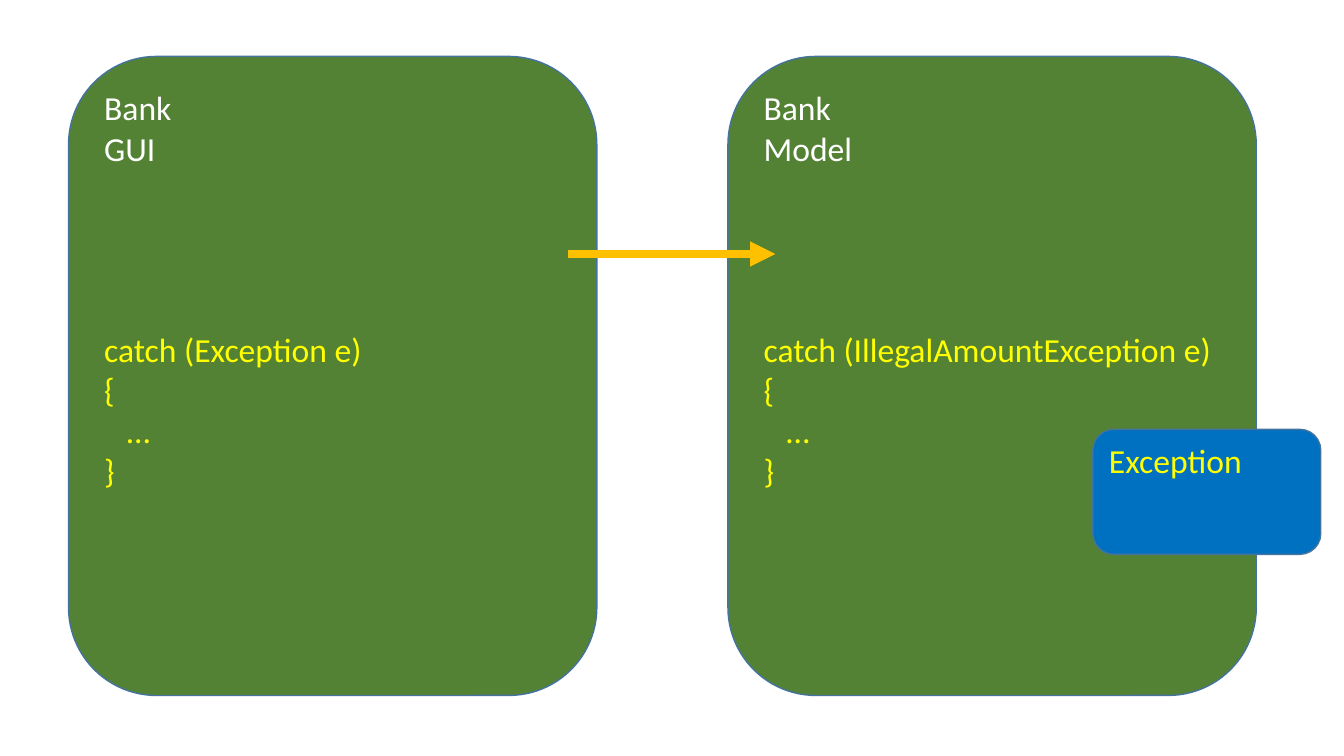
"""Build a slide that shows where a bank program catches its exceptions."""
from lxml.etree import SubElement
from pptx import Presentation
from pptx.dml.color import RGBColor
from pptx.enum.shapes import MSO_CONNECTOR, MSO_SHAPE
from pptx.enum.text import MSO_ANCHOR, PP_ALIGN
from pptx.oxml.ns import qn
from pptx.util import Pt

EMU_PER_PX = 9144
FONT = "Calibri"
FONT_SIZE = Pt(24)
CODE_GAP = Pt(115)

WHITE = RGBColor(0xFF, 0xFF, 0xFF)
YELLOW = RGBColor(0xFF, 0xFF, 0x00)
GREEN = RGBColor(0x54, 0x82, 0x35)
BLUE = RGBColor(0x00, 0x70, 0xC0)
OUTLINE = RGBColor(0x43, 0x73, 0x9E)
AMBER = RGBColor(0xFF, 0xC0, 0x00)

PANEL_TOP, PANEL_WIDTH, PANEL_HEIGHT = 56, 524, 634
PANELS = [
    (68, "GUI", "Exception"),
    (722, "Model", "IllegalAmountException"),
]


def px(length):
    """Turn pixels into EMU."""
    return length * EMU_PER_PX


def add_rounded_box(slide, left, top, width, height, fill):
    """Add a rounded box whose text starts at the top left."""
    shape = slide.shapes.add_shape(
        MSO_SHAPE.ROUNDED_RECTANGLE, px(left), px(top), px(width), px(height)
    )
    shape.shadow.inherit = False
    shape.fill.solid()
    shape.fill.fore_color.rgb = fill
    shape.line.color.rgb = OUTLINE
    shape.line.width = Pt(1)
    shape.text_frame.word_wrap = True
    shape.text_frame.vertical_anchor = MSO_ANCHOR.TOP
    return shape


def add_lines(text_frame, lines, color):
    """Add one left-aligned paragraph per line and return the first one."""
    paragraphs = []
    for line in lines:
        first = text_frame.paragraphs[0]
        paragraph = text_frame.add_paragraph() if first.runs else first
        paragraph.alignment = PP_ALIGN.LEFT
        run = paragraph.add_run()
        run.text = line
        run.font.name = FONT
        run.font.size = FONT_SIZE
        run.font.color.rgb = color
        paragraphs.append(paragraph)
    return paragraphs[0]


def add_panel(slide, left, part, exception):
    """Add a panel for one part of the bank with its catch block."""
    shape = add_rounded_box(slide, left, PANEL_TOP, PANEL_WIDTH, PANEL_HEIGHT, GREEN)
    add_lines(shape.text_frame, ["Bank", part], WHITE)
    catch_block = [f"catch ({exception} e)", "{", "   …", "}"]
    add_lines(shape.text_frame, catch_block, YELLOW).space_before = CODE_GAP


def add_arrow(slide, start_x, end_x, y):
    """Add a thick horizontal arrow."""
    connector = slide.shapes.add_connector(
        MSO_CONNECTOR.STRAIGHT, px(start_x), px(y), px(end_x), px(y)
    )
    connector.line.color.rgb = AMBER
    connector.line.width = Pt(6)
    SubElement(connector.line._get_or_add_ln(), qn("a:tailEnd"), type="triangle")
    SubElement(connector._element.spPr, qn("a:effectLst"))


def main():
    """Build and save the slide."""
    presentation = Presentation()
    presentation.slide_width = px(1333)
    presentation.slide_height = px(750)
    slide = presentation.slides.add_slide(presentation.slide_layouts[6])
    for left, part, exception in PANELS:
        add_panel(slide, left, part, exception)
    exception_box = add_rounded_box(slide, 1084, 426, 226, 124, BLUE)
    add_lines(exception_box.text_frame, ["Exception"], YELLOW)
    add_arrow(slide, 563, 769, 252)
    presentation.save("out.pptx")


if __name__ == "__main__":
    main()
